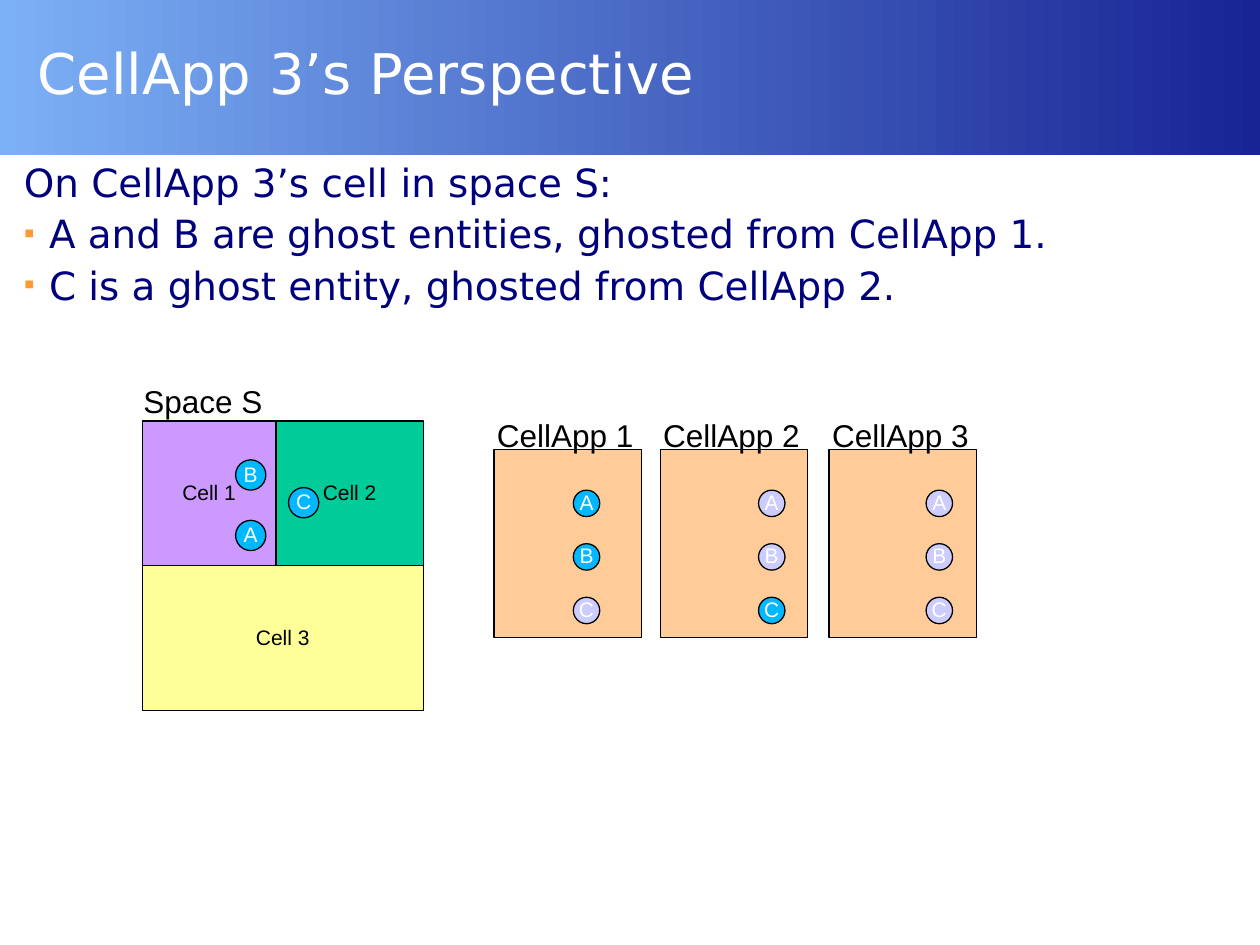
from pptx import Presentation
from pptx.util import Inches, Pt
from pptx.dml.color import RGBColor as RGB
from pptx.enum.shapes import MSO_SHAPE as Kind
from pptx.enum.text import PP_ALIGN as Align, MSO_ANCHOR as Anchor
from lxml.etree import SubElement as Sub
from pptx.oxml.ns import qn

BLACK = RGB(0, 0, 0)
WHITE = RGB(255, 255, 255)
NAVY = RGB(0, 0, 0x7D)
LIGHT = RGB(0x7C, 0xB0, 0xF6)
DARK = RGB(0x18, 0x24, 0x94)
ORANGE = RGB(0xFF, 0x99, 0x33)
PURPLE = RGB(0xCC, 0x99, 0xFF)
GREEN = RGB(0, 0xCC, 0x99)
YELLOW = RGB(0xFF, 0xFF, 0x99)
PEACH = RGB(0xFF, 0xCC, 0x99)
REAL = RGB(0, 0xB8, 0xFF)
GHOST = RGB(0xCC, 0xCC, 0xFF)

deck = Presentation()
deck.slide_width, deck.slide_height = Inches(10), Inches(7.5)
slide = deck.slides.add_slide(deck.slide_layouts[6])
COL = deck.slide_width / 100
ROW = deck.slide_height / 75


def write(para, text, size, color, face="Arial", space=0.93):
    para.line_spacing = space
    run = para.add_run()
    run.text = text
    run.font.size = Pt(size)
    run.font.name = face
    run.font.color.rgb = color


def block(kind, x, y, w, h, fill=None, text="", color=BLACK):
    spot = [round(n) for n in (x * COL, y * ROW, w * COL, h * ROW)]
    if kind is None:
        box = slide.shapes.add_textbox(*spot)
        box.text_frame.word_wrap = True
        return box
    shape = slide.shapes.add_shape(kind, *spot)
    shape.shadow.inherit = False
    if fill is None:
        return shape
    shape.fill.solid()
    shape.fill.fore_color.rgb = fill
    shape.line.color.rgb = BLACK
    shape.line.width = Pt(0.75)
    if text:
        frame = shape.text_frame
        frame.word_wrap = False
        frame.vertical_anchor = Anchor.MIDDLE
        para = frame.paragraphs[0]
        para.alignment = Align.CENTER
        write(para, text, 12, color)
    return shape


band = block(Kind.RECTANGLE, 0, 0, 100, 12.3)
band.line.fill.background()
band.fill.gradient()
band.fill.gradient_angle = 0
for stop, tone in zip(band.fill.gradient_stops, (LIGHT, DARK)):
    stop.color.rgb = tone

body = block(None, 1.3, 13.2, 95.7, 11.8).text_frame
body.margin_left, body.margin_top = Inches(0.06), Inches(0.01)
body.margin_right = Inches(0.04)
lines = (
    "On CellApp 3’s cell in space S:",
    "A and B are ghost entities, ghosted from CellApp 1.",
    "C is a ghost entity, ghosted from CellApp 2.",
)
for i, line in enumerate(lines):
    para = body.add_paragraph() if i else body.paragraphs[0]
    if i:
        para.space_before = Pt(8)
    props = para._p.get_or_add_pPr()
    props.set("marL", str(Inches(0.2)))
    props.set("indent", str(-Inches(0.2)))
    write(para, line, 22.2, NAVY, "DejaVu Sans", 0.8)
    if i:
        tint = Sub(props, qn("a:buClr"))
        Sub(tint, qn("a:srgbClr"), val=str(ORANGE))
        Sub(props, qn("a:buSzPct"), val="80000")
        Sub(props, qn("a:buFont"), typeface="Arial")
        Sub(props, qn("a:buChar"), char="▪")

title = block(None, 2, 0, 95.7, 11.5).text_frame
title.margin_top = Inches(0.04)
title.vertical_anchor = Anchor.MIDDLE
write(title.paragraphs[0], "CellApp 3’s Perspective", 32, WHITE, "DejaVu Sans", 1.01)

for name, x, y, w, fill in (
    ("Cell 1", 11.3, 33.4, 10.6, PURPLE),
    ("Cell 2", 21.9, 33.4, 11.7, GREEN),
    ("Cell 3", 11.3, 44.9, 22.3, YELLOW),
):
    block(Kind.RECTANGLE, x, y, w, 11.5, fill, name)
for name, x, y in (("A", 18.7, 41.3), ("C", 22.9, 38.7), ("B", 18.7, 36.5)):
    block(Kind.OVAL, x, y, 2.4, 2.4, REAL, name, WHITE)

labels = [("Space S", 10.4, 30.1, 12)]
for i, (x, dot, own) in enumerate(((39.2, 45.5, "AB"), (52.4, 60.2, "C"), (65.8, 73.5, ""))):
    block(Kind.RECTANGLE, x, 35.7, 11.7, 14.9, PEACH)
    for j, name in enumerate("ABC"):
        fill = REAL if name in own else GHOST
        block(Kind.OVAL, dot, 38.9 + 4.25 * j, 2.1, 2.1, fill, name, WHITE)
    labels.append((f"CellApp {i + 1}", x - 0.75, 32.8, 13.5))

for name, x, y, w in labels:
    frame = block(None, x, y, w, 3.8).text_frame
    write(frame.paragraphs[0], name, 18, BLACK)

deck.save("out.pptx")
